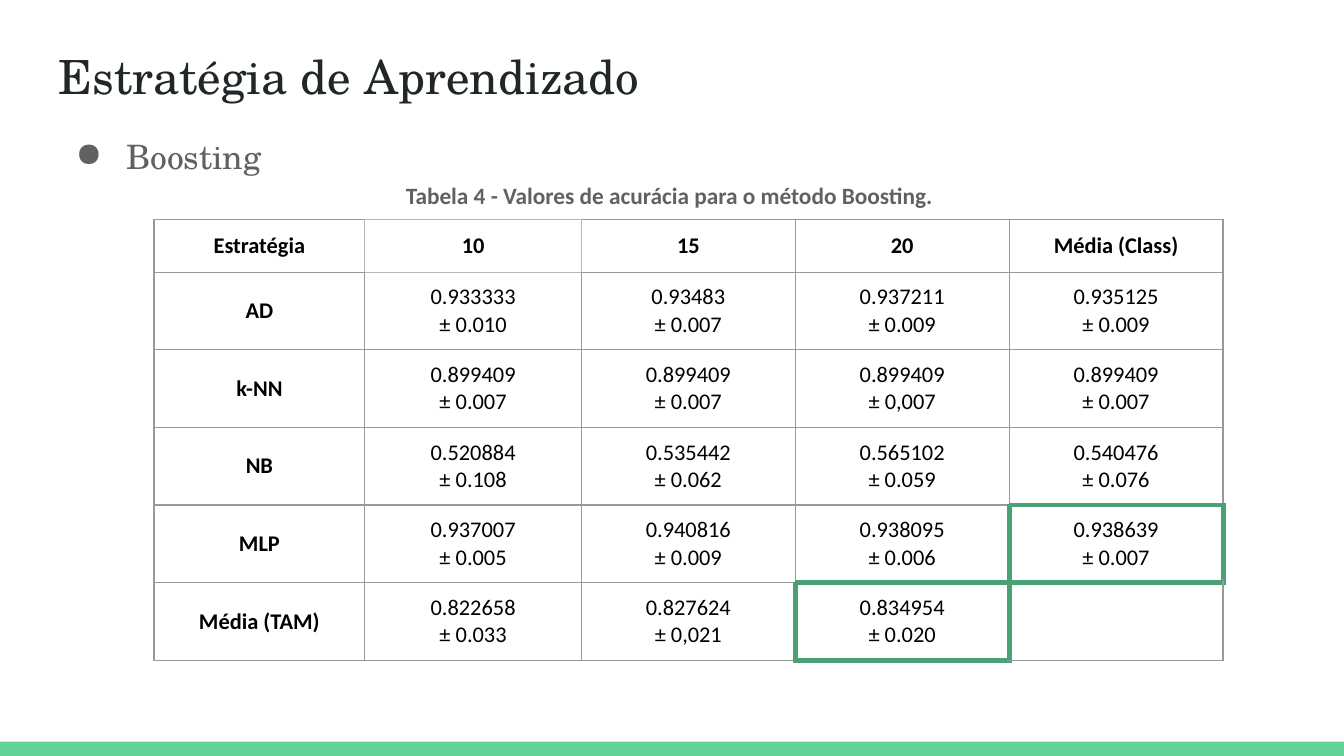
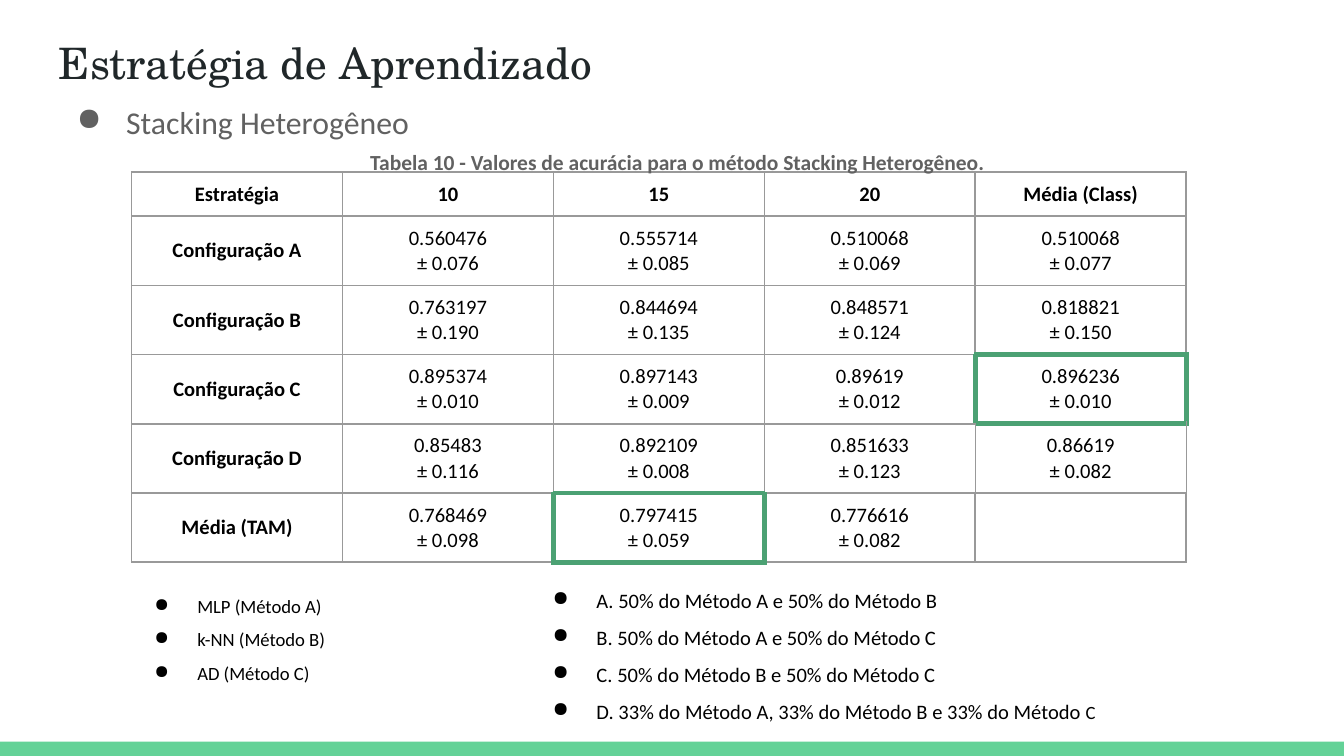
from dataclasses import dataclass

from lxml.etree import SubElement
from pptx import Presentation
from pptx.dml.color import RGBColor
from pptx.enum.shapes import MSO_SHAPE
from pptx.enum.text import MSO_ANCHOR, PP_ALIGN
from pptx.oxml import parse_xml
from pptx.oxml.ns import nsdecls, qn
from pptx.util import Pt


@dataclass(frozen=True)
class Theme:
    band: str = "63D297"
    title: str = "202729"
    muted: str = "616161"
    ink: str = "000000"
    grid: str = "999999"
    light_grid: str = "B7B7B7"
    accent: str = "4BA173"
    accent_width: float = 3
    serif: str = "TeX Gyre Schola"
    sans: str = "Calibri"
    inset: float = 7.2
    cell_inset: float = 5


T = Theme()
TITLE = "Estratégia de Aprendizado"
HEADER = ["Estratégia", "10", "15", "20", "Média (Class)"]

SLIDES = [
    dict(
        title=dict(at=(24.5, 18, 671, 45), size=25.2),
        topic=dict(text="Boosting", at=(24.5, 62.6, 671, 291.6), size=18, font=T.serif),
        caption=dict(
            text="Tabela 4 - Valores de acurácia para o método Boosting.",
            at=(113, 87.8, 455, 29.5), size=12.5,
        ),
        table=dict(
            at=(82.5, 117.4), size=12, line=0.75,
            columns=[113, 116, 114.6, 114.6, 114.6], rows=[28.4] + [41.6] * 5,
            data=[
                ("AD", "0.933333 ± 0.010", "0.93483 ± 0.007", "0.937211 ± 0.009", "0.935125 ± 0.009"),
                ("k-NN", "0.899409 ± 0.007", "0.899409 ± 0.007", "0.899409 ± 0,007", "0.899409 ± 0.007"),
                ("NB", "0.520884 ± 0.108", "0.535442 ± 0.062", "0.565102 ± 0.059", "0.540476 ± 0.076"),
                ("MLP", "0.937007 ± 0.005", "0.940816 ± 0.009", "0.938095 ± 0.006", "0.938639 ± 0.007"),
                ("Média (TAM)", "0.822658 ± 0.033", "0.827624 ± 0,021", "0.834954 ± 0.020", ""),
            ],
            frames=[
                (0, 1, T.light_grid, 0.75),
                (4, 4, T.accent, T.accent_width),
                (5, 3, T.accent, T.accent_width),
            ],
        ),
        lists=[],
    ),
    dict(
        title=dict(at=(24.5, 12.2, 671, 45), size=23.2),
        topic=dict(text="Stacking Heterogêneo", at=(24.5, 44.6, 671, 269.3), size=17, font=T.sans),
        caption=dict(
            text="Tabela 10 - Valores de acurácia para o método Stacking Heterogêneo.",
            at=(117.4, 70.6, 455, 28.8), size=11.5,
        ),
        table=dict(
            at=(70.5, 92.2), size=11, line=1,
            columns=[113] * 5, rows=[23.6] + [37.1] * 5,
            data=[
                ("Configuração A", "0.560476 ± 0.076", "0.555714 ± 0.085", "0.510068 ± 0.069", "0.510068 ± 0.077"),
                ("Configuração B", "0.763197 ± 0.190", "0.844694 ± 0.135", "0.848571 ± 0.124", "0.818821 ± 0.150"),
                ("Configuração C", "0.895374 ± 0.010", "0.897143 ± 0.009", "0.89619 ± 0.012", "0.896236 ± 0.010"),
                ("Configuração D", "0.85483 ± 0.116", "0.892109 ± 0.008", "0.851633 ± 0.123", "0.86619 ± 0.082"),
                ("Média (TAM)", "0.768469 ± 0.098", "0.797415 ± 0.059", "0.776616 ± 0.082", ""),
            ],
            frames=[
                (4, 4, T.grid, 0.75),
                (3, 4, T.accent, T.accent_width),
                (5, 2, T.accent, T.accent_width),
            ],
        ),
        lists=[
            dict(
                text=[
                    "A. 50% do Método A e 50% do Método B",
                    "B. 50% do Método A e 50% do Método C",
                    "C. 50% do Método B e 50% do Método C",
                    [("D. 33% do Método A, 33% do Método B e 33% do Método", 11), (" C", 10)],
                ],
                at=(276.5, 301, 443, 94), size=11,
            ),
            dict(
                text=["MLP (Método A)", "k-NN (Método B)", "AD (Método C)"],
                at=(62.6, 305.3, 455, 68), size=10,
            ),
        ],
    ),
]


def write(tf, text, *, size, color, font=T.sans, bold=False, align=PP_ALIGN.LEFT,
          bullet=False, margin=0, spacing=None, after=0):
    for i, line in enumerate([text] if isinstance(text, str) else text):
        p = tf.add_paragraph() if i else tf.paragraphs[0]
        p.alignment = align
        p.space_after = Pt(after)
        if spacing:
            p.line_spacing = spacing
        pPr = p._p.get_or_add_pPr()
        if bullet:
            margin = 36
            pPr.set("indent", str(-Pt(18 + size / 2)))
            SubElement(SubElement(pPr, qn("a:buClr")), qn("a:srgbClr")).set("val", color)
            SubElement(pPr, qn("a:buChar")).set("char", "●")
        if margin:
            pPr.set("marL", str(Pt(margin)))
        for words, points in [(line, size)] if isinstance(line, str) else line:
            r = p.add_run()
            r.text = words
            r.font.name = font
            r.font.size = Pt(points)
            r.font.bold = bold
            r.font.color.rgb = RGBColor.from_string(color)


def add_text(s, text, at, **fmt):
    tf = s.shapes.add_textbox(*map(Pt, at)).text_frame
    tf.word_wrap = True
    tf.margin_left = tf.margin_right = tf.margin_top = tf.margin_bottom = Pt(T.inset)
    write(tf, text, **fmt)


def cell_edges(row, col):
    return {"L": ("v", row, col), "R": ("v", row, col + 1),
            "T": ("h", row, col), "B": ("h", row + 1, col)}


def add_borders(cell, lines):
    tcPr = cell._tc.get_or_add_tcPr()
    for i, (side, (color, width)) in enumerate(lines.items()):
        tcPr.insert(i, parse_xml(
            f'<a:ln{side} {nsdecls("a")} w="{Pt(width)}"><a:solidFill>'
            f'<a:srgbClr val="{color}"/></a:solidFill></a:ln{side}>'
        ))


def add_results(s, at, size, line, columns, rows, data, frames):
    frame = s.shapes.add_table(len(rows), len(columns), *map(Pt, at),
                               Pt(sum(columns)), Pt(sum(rows)))
    table = frame.table
    table.first_row = table.horz_banding = False
    for column, width in zip(table.columns, columns):
        column.width = Pt(width)
    for row, height in zip(table.rows, rows):
        row.height = Pt(height)
    styles = {edge: (color, width) for r, c, color, width in frames
              for edge in cell_edges(r, c).values()}
    for r, values in enumerate([HEADER, *data]):
        for c, value in enumerate(values):
            cell = table.cell(r, c)
            cell.fill.background()
            cell.vertical_anchor = MSO_ANCHOR.MIDDLE
            cell.margin_left = cell.margin_right = Pt(T.cell_inset)
            cell.margin_top = cell.margin_bottom = Pt(T.cell_inset)
            heading = r == 0 or c == 0
            text = value if heading else value.replace(" ±", "\n±").split("\n")
            write(cell.text_frame, text, size=size, color=T.ink, bold=heading,
                  align=PP_ALIGN.CENTER)
            add_borders(cell, {side: styles.get(edge, (T.grid, line))
                               for side, edge in cell_edges(r, c).items()})


def add_band(s):
    sp = s.shapes.add_shape(MSO_SHAPE.RECTANGLE, Pt(0), Pt(397.4), Pt(720), Pt(7.6))
    sp.shadow.inherit = False
    sp.fill.solid()
    sp.fill.fore_color.rgb = RGBColor.from_string(T.band)
    sp.line.fill.background()


def build(prs, content):
    s = prs.slides.add_slide(prs.slide_layouts[6])
    add_band(s)
    add_text(s, TITLE, color=T.title, font=T.serif, **content["title"])
    add_text(s, color=T.muted, bullet=True, spacing=1.15, **content["topic"])
    add_results(s, **content["table"])
    add_text(s, color=T.muted, bold=True, align=PP_ALIGN.CENTER, margin=36,
             spacing=1.15, after=12, **content["caption"])
    for items in content["lists"]:
        add_text(s, color=T.ink, bullet=True, align=PP_ALIGN.JUSTIFY, spacing=1.5, **items)


def main():
    prs = Presentation()
    prs.slide_width, prs.slide_height = Pt(720), Pt(405)
    for content in SLIDES:
        build(prs, content)
    prs.save("out.pptx")


if __name__ == "__main__":
    main()
